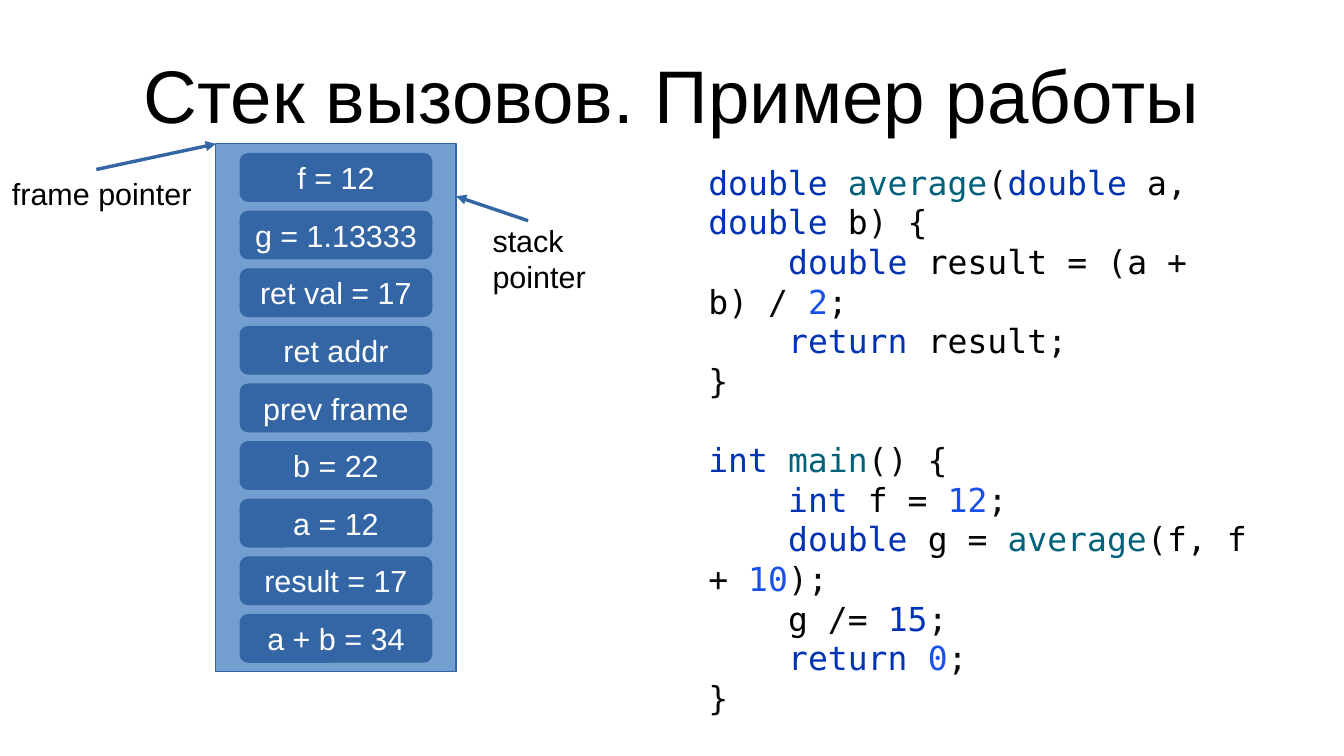
from dataclasses import dataclass
from itertools import groupby

import pptx
import pptx.dml.color
import pptx.enum.shapes
import pptx.enum.text
import pptx.oxml.ns
import pptx.util
from lxml import etree

Inches = pptx.util.Inches
Pt = pptx.util.Pt
RGBColor = pptx.dml.color.RGBColor
MSO_SHAPE = pptx.enum.shapes.MSO_SHAPE
MSO_ANCHOR = pptx.enum.text.MSO_ANCHOR
PP_ALIGN = pptx.enum.text.PP_ALIGN
qn = pptx.oxml.ns.qn

BLACK = RGBColor(0x00, 0x00, 0x00)
WHITE = RGBColor(0xFF, 0xFF, 0xFF)
STACK_BLUE = RGBColor(0x72, 0x9F, 0xCF)
FRAME_BLUE = RGBColor(0x34, 0x65, 0xA4)
KEYWORD = RGBColor(0x00, 0x33, 0xB3)
FUNCTION = RGBColor(0x00, 0x62, 0x7A)
NUMBER = RGBColor(0x17, 0x50, 0xEB)
PUNCTUATION = RGBColor(0x08, 0x08, 0x08)

TOKEN_COLORS = {
    "double": KEYWORD, "int": KEYWORD, "return": KEYWORD, "15": KEYWORD,
    "average": FUNCTION, "main": FUNCTION,
    "0": NUMBER, "2": NUMBER, "10": NUMBER, "12": NUMBER,
}

CODE = """double average(double a, double b) {
    double result = (a + b) / 2;
    return result;
}

int main() {
    int f = 12;
    double g = average(f, f + 10);
    g /= 15;
    return 0;
}"""

CELLS = ["f = 12", "g = 1.13333", "ret val = 17", "ret addr", "prev frame",
         "b = 22", "a = 12", "result = 17", "a + b = 34"]
FIRST_TOP, LAST_TOP = 1.26, 5.04
PITCH = (LAST_TOP - FIRST_TOP) / (len(CELLS) - 1)


@dataclass
class Box:
    left: float
    top: float
    width: float
    height: float

    def emu(self) -> list[int]:
        return [Inches(v) for v in (self.left, self.top, self.width, self.height)]


@dataclass
class Pointer:
    label: str
    box: Box
    start: tuple[float, float]
    end: tuple[float, float]


POINTERS = [
    Pointer("frame pointer", Box(0, 1.39, 1.67, 0.38), (0.79, 1.39), (1.77, 1.18)),
    Pointer("stack pointer", Box(3.94, 1.77, 1.61, 0.38), (4.33, 1.81), (3.74, 1.61)),
]


def set_font(p, size: float, color: RGBColor, name: str = "Arial") -> None:
    p.font.name = name
    p.font.size = Pt(size)
    p.font.color.rgb = color


def add_block(shapes, kind: MSO_SHAPE, box: Box, fill: RGBColor):
    sp = shapes.add_shape(kind, *box.emu())
    sp.shadow.inherit = False
    sp.fill.solid()
    sp.fill.fore_color.rgb = fill
    sp.line.color.rgb = FRAME_BLUE
    sp.line.width = Pt(0)
    return sp


def add_cell(shapes, text: str, top: float) -> None:
    sp = add_block(shapes, MSO_SHAPE.ROUNDED_RECTANGLE, Box(1.97, top, 1.57, 0.39), FRAME_BLUE)
    tf = sp.text_frame
    tf.word_wrap = True
    tf.vertical_anchor = MSO_ANCHOR.MIDDLE
    p = tf.paragraphs[0]
    p.text = text
    p.alignment = PP_ALIGN.CENTER
    set_font(p, 18, WHITE)


def add_pointer(shapes, pointer: Pointer) -> None:
    group = shapes.add_group_shape()
    ends = [Inches(v) for v in pointer.start + pointer.end]
    cx = group.shapes.add_connector(pptx.enum.shapes.MSO_CONNECTOR.STRAIGHT, *ends)
    cx.line.color.rgb = FRAME_BLUE
    cx.line.width = Pt(0)
    etree.SubElement(cx.line._get_or_add_ln(), qn("a:tailEnd"), type="triangle")
    etree.SubElement(cx._element.spPr, qn("a:effectLst"))
    p = group.shapes.add_textbox(*pointer.box.emu()).text_frame.paragraphs[0]
    p.text = pointer.label
    set_font(p, 18, BLACK)


def add_title(shapes, text: str) -> None:
    tf = shapes.add_textbox(*Box(0.55, 0.25, 9.92, 1.04).emu()).text_frame
    tf.word_wrap = True
    tf.vertical_anchor = MSO_ANCHOR.MIDDLE
    tf.margin_left = tf.margin_right = tf.margin_top = tf.margin_bottom = 0
    p = tf.paragraphs[0]
    p.text = text
    p.alignment = PP_ALIGN.CENTER
    set_font(p, 44, BLACK)


def add_code(shapes, code: str) -> None:
    tf = shapes.add_textbox(*Box(5.71, 1.28, 4.9, 4.17).emu()).text_frame
    tf.word_wrap = True
    p = tf.paragraphs[0]
    set_font(p, 19.5, BLACK, "DejaVu Sans Mono")
    for i, line in enumerate(code.splitlines()):
        if i:
            p.add_line_break()
        for is_word, chars in groupby(line, str.isalnum):
            r = p.add_run()
            r.text = "".join(chars)
            r.font.color.rgb = TOKEN_COLORS.get(r.text, BLACK) if is_word else PUNCTUATION


def main() -> None:
    prs = pptx.Presentation()
    prs.slide_width = Inches(11.02)
    prs.slide_height = Inches(6.2)
    s = prs.slides.add_slide(prs.slide_layouts[6])
    add_title(s.shapes, "Стек вызовов. Пример работы")
    add_code(s.shapes, CODE)
    add_block(s.shapes, MSO_SHAPE.RECTANGLE, Box(1.77, 1.18, 1.97, 4.33), STACK_BLUE)
    for i, text in enumerate(CELLS):
        add_cell(s.shapes, text, FIRST_TOP + i * PITCH)
    for pointer in POINTERS:
        add_pointer(s.shapes, pointer)
    prs.save("out.pptx")


if __name__ == "__main__":
    main()
